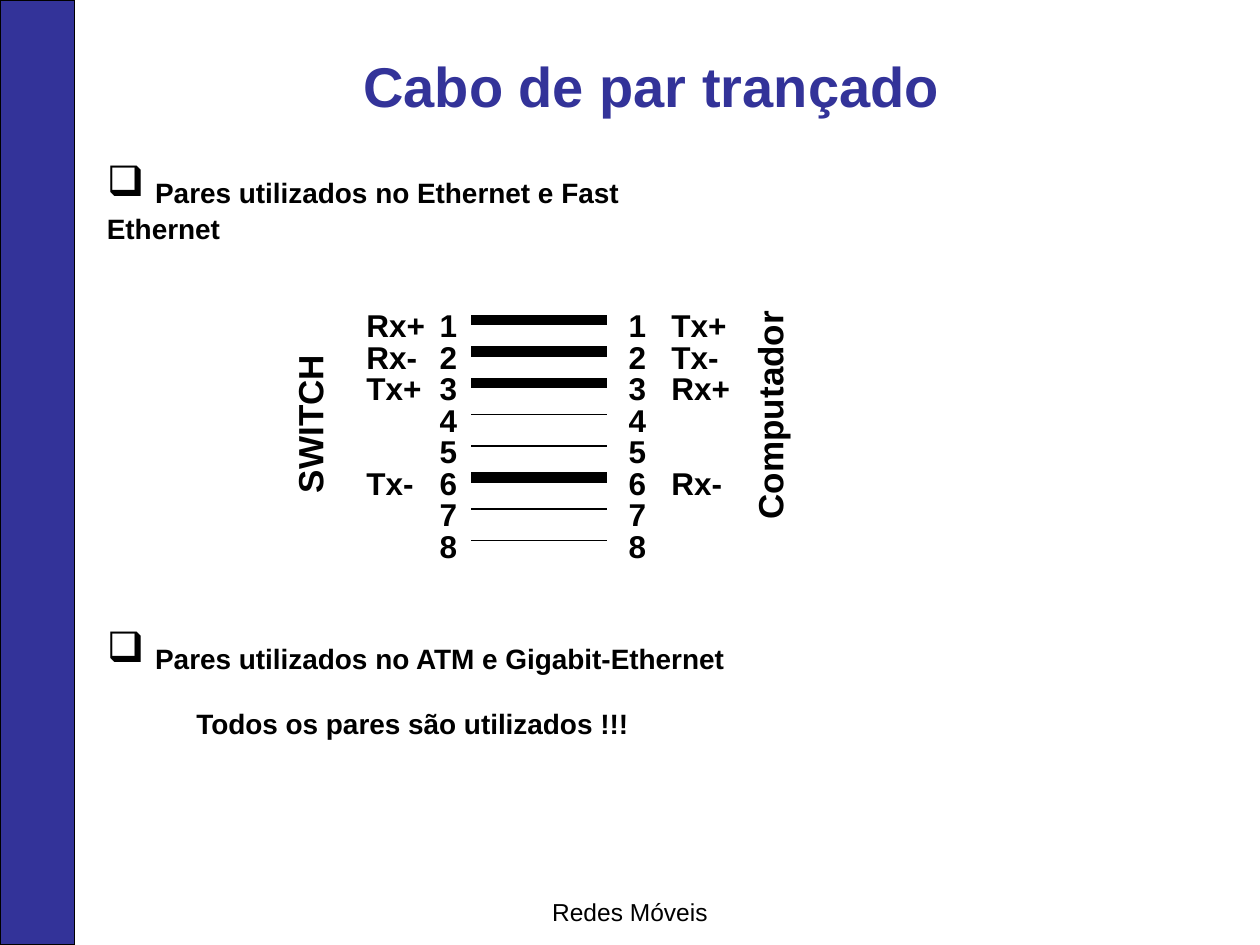
from lxml.etree import SubElement as Sub
from pptx import Presentation
from pptx.dml.color import RGBColor as RGB
from pptx.enum.shapes import MSO_CONNECTOR as Conn, MSO_SHAPE as Shape
from pptx.enum.text import MSO_ANCHOR as Anchor, MSO_AUTO_SIZE as Fit, PP_ALIGN as Align
from pptx.oxml.ns import qn
from pptx.util import Inches, Pt

BLUE = RGB(0x33, 0x33, 0x99)
BLACK = RGB(0, 0, 0)

TITLE = dict(name="Arial", size=Pt(32), bold=True)
FOOT = dict(name="Arial", size=Pt(14), bold=False)
MARK = dict(name="Open Sans", size=Pt(24), bold=False)
BODY = dict(name="Arial", size=Pt(16), bold=True)
PIN = dict(name="Arial", size=Pt(18), bold=True)
SIDE = dict(name="Arial", size=Pt(20), bold=True)

PINS = range(1, 9)
SWITCH = {1: "Rx+", 2: "Rx-", 3: "Tx+", 6: "Tx-"}
COMPUTER = {1: "Tx+", 2: "Tx-", 3: "Rx+", 6: "Rx-"}
STEP = 0.25


def inches(box):
    return [Inches(v) for v in box]


def style(font, form, color=BLACK):
    for key, value in form.items():
        setattr(font, key, value)
    font.color.rgb = color


def add_run(para, text, form, color=BLACK):
    run = para.add_run()
    run.text = text
    style(run.font, form, color)


def add_box(shapes, box):
    """Add an empty wrapping text box and return it."""
    shape = shapes.add_textbox(*inches(box))
    frame = shape.text_frame
    frame.word_wrap = True
    frame.auto_size = Fit.SHAPE_TO_FIT_TEXT
    return shape


def add_text(shapes, box, text, form, align=Align.LEFT):
    shape = add_box(shapes, box)
    para = shape.text_frame.paragraphs[0]
    para.alignment = align
    add_run(para, text, form)
    return shape


def add_bullet(shapes, box, text):
    para = add_box(shapes, box).text_frame.paragraphs[0]
    props = para._p.get_or_add_pPr()
    props.set("marL", "0")
    props.set("indent", str(Inches(-0.12)))
    tint = Sub(props, qn("a:buClr"))
    Sub(tint, qn("a:srgbClr"), val=str(BLACK))
    Sub(props, qn("a:buChar"), char="❑")
    add_run(para, " ", MARK)
    add_run(para, text, BODY)


def add_title(slide, box, text):
    title = slide.shapes.title
    title.left, title.top, title.width, title.height = inches(box)
    frame = title.text_frame
    frame.auto_size = Fit.NONE
    frame.vertical_anchor = Anchor.TOP
    para = frame.paragraphs[0]
    para.alignment = Align.CENTER
    add_run(para, text, TITLE, BLUE)


def add_band(shapes, box):
    band = shapes.add_shape(Shape.RECTANGLE, *inches(box))
    band.shadow.inherit = False
    band.fill.solid()
    band.fill.fore_color.rgb = BLUE
    band.line.color.rgb = BLACK
    band.line.width = Pt(0.75)


def add_column(shapes, left, top, labels):
    """Group one column of labels, each at the row of its pin."""
    group = shapes.add_group_shape().shapes
    for pin, text in labels.items():
        add_text(group, (left, top + (pin - 1) * STEP, 0.76, 0.4), text, PIN)


def add_wire(shapes, left, right, y, width):
    wire = shapes.add_connector(Conn.STRAIGHT, *inches((left, y, right, y)))
    wire.line.color.rgb = BLACK
    wire.line.width = Pt(width)
    Sub(wire._element.spPr, qn("a:effectLst"))


def add_pinout(shapes, left, top):
    """Draw the wires between both ends, thick where a pin is in use."""
    numbers = {pin: str(pin) for pin in PINS}
    add_column(shapes, left + 0.58, top, numbers)
    for pin in PINS:
        y = top + 0.16 + (pin - 1) * STEP
        add_wire(shapes, left + 0.93, left + 2.01, y, 6 if pin in SWITCH else 1)
    add_column(shapes, left + 2.08, top, numbers)
    add_column(shapes, left, top, SWITCH)
    add_column(shapes, left + 2.42, top, COMPUTER)
    ends = (("SWITCH", -1.07, 0.77, 1.43), ("Computador", 2.29, 0.7, 2.01))
    for text, x, y, width in ends:
        box = (left + x, top + y, width, 0.43)
        add_text(shapes, box, text, SIDE, Align.CENTER).rotation = 270


def main():
    deck = Presentation()
    deck.slide_width, deck.slide_height = inches((10, 7.5))
    slide = deck.slides.add_slide(deck.slide_layouts[5])
    shapes = slide.shapes
    add_band(shapes, (0, 0, 0.59, 7.5))
    add_text(shapes, (0, 7.07, 10, 0.34), "Redes Móveis", FOOT, Align.CENTER)
    add_title(slide, (0.42, 0.36, 9.5, 0.63), "Cabo de par trançado")
    add_bullet(shapes, (0.75, 1.23, 5.16, 0.5),
               "Pares utilizados no Ethernet e Fast Ethernet")
    add_pinout(shapes, 2.81, 2.38)
    add_text(shapes, (1.46, 5.56, 7.3, 0.37),
             "Todos os pares são utilizados !!!", BODY)
    add_bullet(shapes, (0.75, 4.93, 5.43, 0.5),
               "Pares utilizados no ATM e Gigabit-Ethernet")
    deck.save("out.pptx")


if __name__ == "__main__":
    main()
